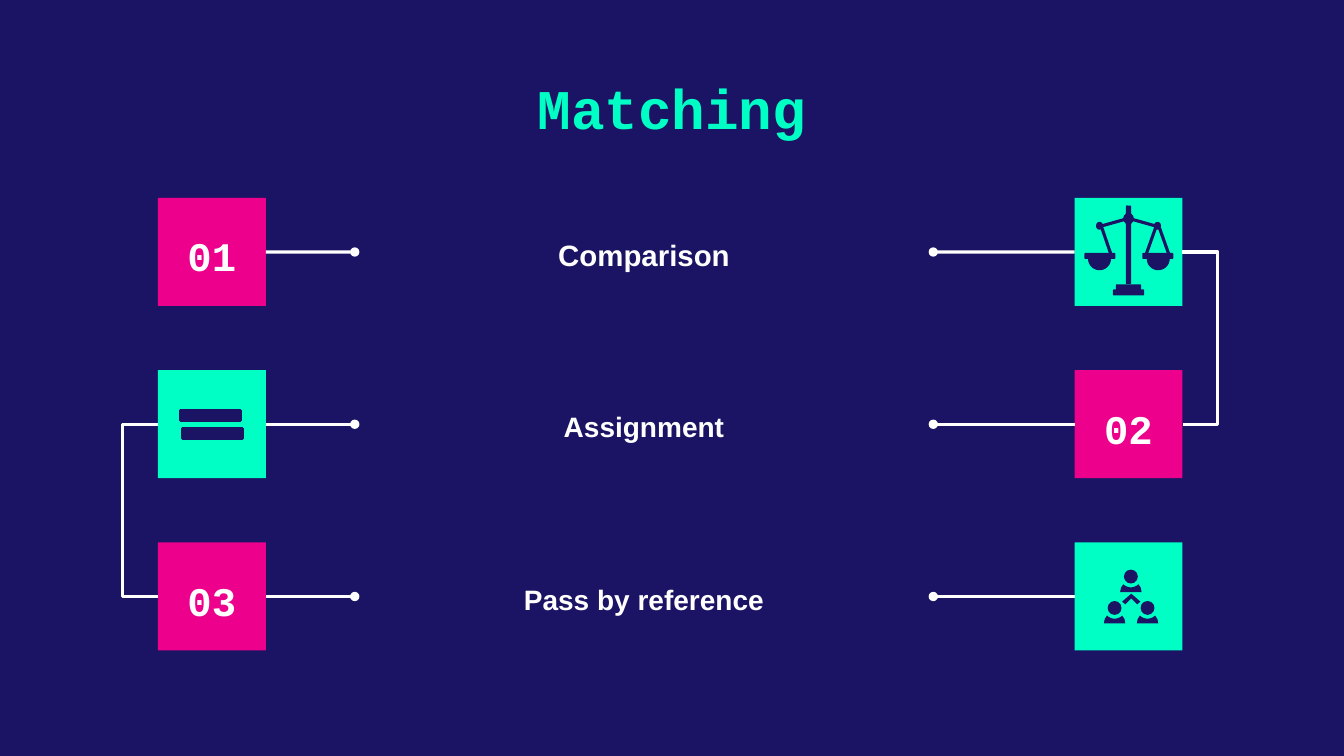
from math import cos, radians, sin

from lxml.etree import SubElement
from pptx import Presentation
from pptx.enum.shapes import MSO_CONNECTOR, MSO_SHAPE
from pptx.enum.text import MSO_ANCHOR, PP_ALIGN
from pptx.dml.color import RGBColor
from pptx.oxml.ns import qn
from pptx.util import Cm, Pt

NAVY, MINT, PINK, WHITE = "1B1464", "00FFC5", "EC008C", "FFFFFF"
LEFT_SIDE, RIGHT_SIDE = 1, 3
TILE = 2.72
LEFT_COLUMN, RIGHT_COLUMN = 5.34, 28.44
FIRST_ROW, ROW_STEP = 6.35, 4.34
LABEL_LEFT, LABEL_WIDTH, LABEL_HEIGHT = 8.94, 14.58, 1.52
BRACKET_DEPTH, BRACKET_SHIFT = 0.89, 0.01


def set_color(target, color):
    target.rgb = RGBColor.from_string(color)


def set_fill(shape, color):
    shape.shadow.inherit = False
    shape.fill.solid()
    set_color(shape.fill.fore_color, color)
    shape.line.fill.background()


def set_values(target, values):
    for name, value in values.items():
        setattr(target, name, value)


def write_text(shape, text, size, font_name, color, margin=0.25, anchor=MSO_ANCHOR.MIDDLE):
    frame = shape.text_frame
    sides = ("margin_left", "margin_right", "margin_top", "margin_bottom")
    set_values(frame, {"word_wrap": True, "vertical_anchor": anchor, **dict.fromkeys(sides, Cm(margin))})
    paragraph = frame.paragraphs[0]
    set_values(paragraph, {"alignment": PP_ALIGN.CENTER, "line_spacing": 1.15})
    run = paragraph.add_run()
    run.text = text
    set_values(run.font, {"name": font_name, "size": Pt(size), "bold": True})
    set_color(run.font.color, color)


def add_centered(slide, kind, x, y, width, height, color):
    shape = slide.shapes.add_shape(kind, Cm(x - width / 2), Cm(y - height / 2), Cm(width), Cm(height))
    set_fill(shape, color)
    return shape


def add_tile(slide, x, y, color, number=None):
    tile = add_centered(slide, MSO_SHAPE.RECTANGLE, x, y, TILE, TILE, color)
    if number:
        write_text(tile, number, 29, "Courier New", WHITE)
    return tile


def add_label(slide, y, text, size):
    label = slide.shapes.add_textbox(
        Cm(LABEL_LEFT), Cm(y - LABEL_HEIGHT / 2), Cm(LABEL_WIDTH), Cm(LABEL_HEIGHT))
    write_text(label, text, size, "Arial", WHITE)
    return label


def add_line(slide, start, end, color, width, kind=MSO_CONNECTOR.STRAIGHT):
    connector = slide.shapes.add_connector(kind, *(Cm(value) for value in (*start, *end)))
    set_color(connector.line.color, color)
    connector.line.width = Pt(width)
    SubElement(connector.element.spPr, qn("a:effectLst"))
    return connector


def join_tile_to_label(slide, tile, tile_side, label, label_side):
    connector = add_line(slide, (0, 0), (1, 1), WHITE, 2.25)
    connector.begin_connect(tile, tile_side)
    connector.end_connect(label, label_side)
    outline = connector.element.spPr.find(qn("a:ln"))
    SubElement(outline, qn("a:tailEnd"), type="oval")


def add_bracket(slide, x, top, depth):
    bracket = add_line(slide, (x, top), (x + BRACKET_SHIFT, top + ROW_STEP),
                       WHITE, 2.25, MSO_CONNECTOR.ELBOW)
    adjustments = bracket.element.spPr.find(qn("a:prstGeom")).find(qn("a:avLst"))
    bend = round(depth / BRACKET_SHIFT * 100000)
    SubElement(adjustments, qn("a:gd"), name="adj1", fmla=f"val {bend}")


def add_outline(slide, x, y, points, color):
    start, *others = [(Cm(x + across), Cm(y + down)) for across, down in points]
    builder = slide.shapes.build_freeform(*start)
    builder.add_line_segments(others, close=True)
    set_fill(builder.convert_to_shape(), color)


def arc(radius, first, last, step):
    return [(radius * cos(radians(angle)), radius * sin(radians(angle)))
            for angle in range(first, last + step, step)]


def add_scales(slide, x, y):
    for across, down, width, height in [
        (0, -0.18, 0.13, 1.98),
        (-0.72, 0.1, 0.78, 0.15), (0.74, 0.1, 0.78, 0.15),
        (0, 0.89, 0.64, 0.15), (0, 1.02, 0.79, 0.15),
    ]:
        add_centered(slide, MSO_SHAPE.ROUNDED_RECTANGLE, x + across, y + down, width, height, NAVY)
    for across, down, width, height in [
        (0, -0.84, 0.27, 0.29), (-0.73, -0.66, 0.18, 0.2), (0.73, -0.66, 0.18, 0.2),
    ]:
        add_centered(slide, MSO_SHAPE.OVAL, x + across, y + down, width, height, NAVY)
    for start, end in [
        ((-0.7, -0.65), (-0.06, -0.83)), ((0.7, -0.65), (0.06, -0.83)),
        ((-0.69, -0.66), (-0.43, 0.1)), ((0.7, -0.66), (0.43, 0.1)), ((0.76, -0.66), (1.03, 0.1)),
    ]:
        add_line(slide, (x + start[0], y + start[1]), (x + end[0], y + end[1]), NAVY, 2.25)
    for across in (-0.73, 0.75):
        add_outline(slide, x + across, y + 0.17, arc(0.29, 0, 180, 10), NAVY)


def add_equals(slide, x, y):
    for across, down in [(-0.03, -0.22), (0.02, 0.24)]:
        bar = add_centered(slide, MSO_SHAPE.RECTANGLE, x + across, y + down, 1.52, 0.25, NAVY)
        set_color(bar.line.color, NAVY)
        bar.line.width = Pt(2)


def add_people(slide, x, y):
    body = [(0.25, 0.28), *arc(0.27, 45, 135, 10), (-0.25, 0.28), (-0.27, 0.39), (0.27, 0.39)]
    for across, down in [(0.06, -0.5), (0.48, 0.29), (-0.35, 0.29)]:
        add_centered(slide, MSO_SHAPE.OVAL, x + across, y + down, 0.35, 0.35, NAVY)
        add_outline(slide, x + across, y + down, body, NAVY)
    chevron = [(0, -0.07), (0.23, 0.13), (0.15, 0.2), (0, 0.05), (-0.15, 0.2), (-0.23, 0.13)]
    add_outline(slide, x + 0.07, y, chevron, NAVY)


def add_title(slide, text):
    title = slide.shapes.add_textbox(Cm(2.67), Cm(1.27), Cm(28.52), Cm(2.49))
    write_text(title, text, 40, "Courier New", MINT, margin=0.33, anchor=MSO_ANCHOR.TOP)


def main():
    presentation = Presentation()
    set_values(presentation, {"slide_width": Cm(33.87), "slide_height": Cm(19.05)})
    slide = presentation.slides.add_slide(presentation.slide_layouts[6])
    slide.background.fill.solid()
    set_color(slide.background.fill.fore_color, NAVY)
    add_title(slide, "Matching")

    rows = [
        ("Comparison", 21, "01", LEFT_COLUMN, RIGHT_COLUMN, add_scales),
        ("Assignment", 20, "02", RIGHT_COLUMN, LEFT_COLUMN, add_equals),
        ("Pass by reference", 20, "03", LEFT_COLUMN, RIGHT_COLUMN, add_people),
    ]
    for index, (text, size, number, number_x, icon_x, add_icon) in enumerate(rows):
        y = FIRST_ROW + index * ROW_STEP
        tiles = {
            number_x: add_tile(slide, number_x, y, PINK, number),
            icon_x: add_tile(slide, icon_x, y, MINT),
        }
        add_icon(slide, icon_x, y)
        label = add_label(slide, y, text, size)
        join_tile_to_label(slide, tiles[LEFT_COLUMN], RIGHT_SIDE, label, LEFT_SIDE)
        join_tile_to_label(slide, tiles[RIGHT_COLUMN], LEFT_SIDE, label, RIGHT_SIDE)

    add_bracket(slide, RIGHT_COLUMN + TILE / 2, FIRST_ROW, BRACKET_DEPTH)
    add_bracket(slide, LEFT_COLUMN - TILE / 2, FIRST_ROW + ROW_STEP, -BRACKET_DEPTH)
    presentation.save("out.pptx")


if __name__ == "__main__":
    main()
